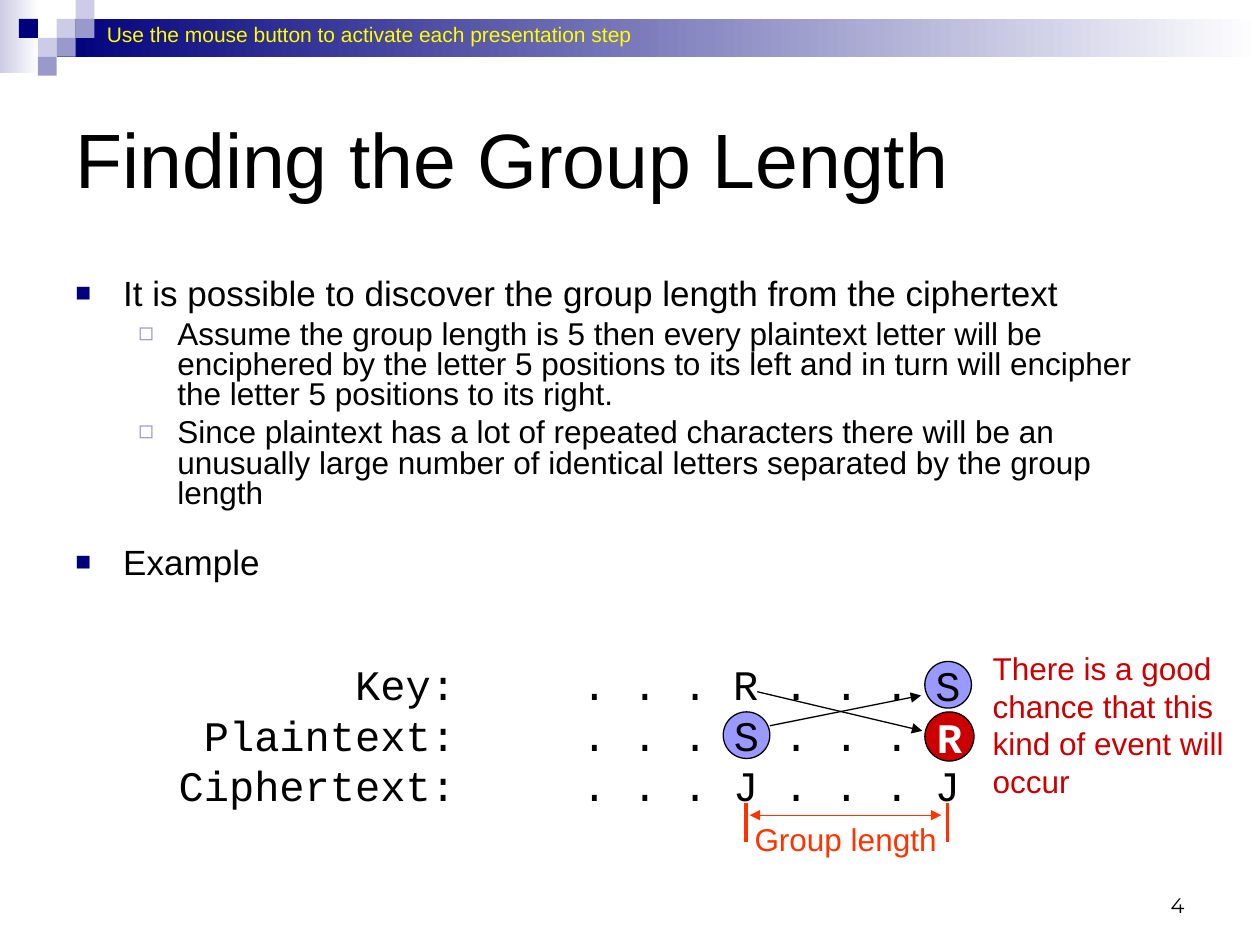
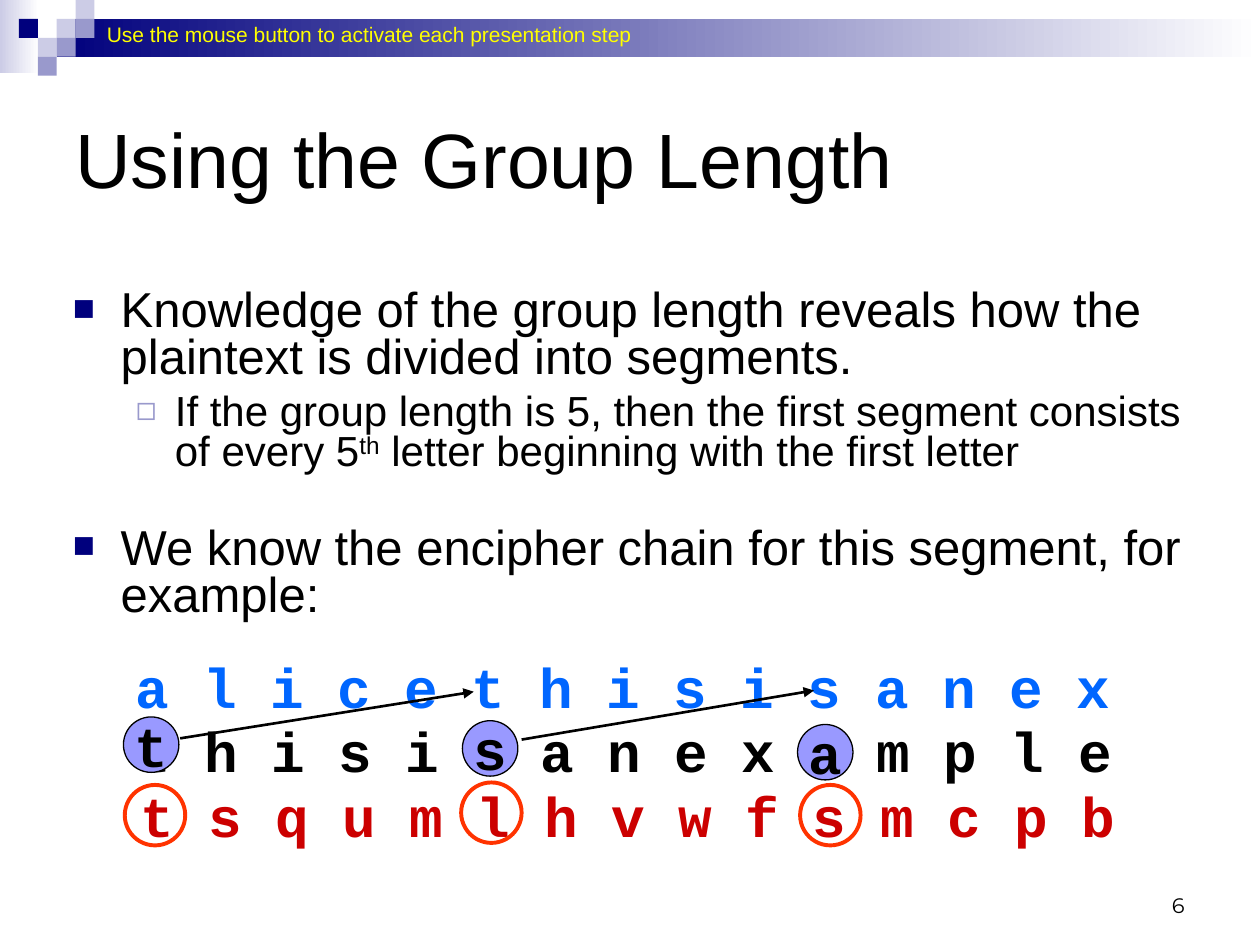
from dataclasses import dataclass

from lxml import etree
from pptx import Presentation
from pptx.dml.color import RGBColor
from pptx.enum import shapes, text
from pptx.oxml import ns
from pptx.util import Inches, Pt


@dataclass(frozen=True)
class Theme:
    sans: str = "Arial"
    mono: str = "Courier New"
    number_font: str = "Montserrat"
    black: str = "000000"
    white: str = "FFFFFF"
    navy: str = "00007D"
    violet: str = "9999CC"
    pale: str = "CCCCE6"
    hint: str = "FFFF00"
    circle: str = "9999FF"
    red: str = "CC0000"
    orange: str = "FF3300"
    blue: str = "0066FF"
    title_size: int = 44
    small_size: int = 12
    note_size: int = 18
    table_size: int = 24
    chain_size: int = 32


@dataclass(frozen=True)
class Bullet:
    char: str
    color: str
    percent: int
    margin: float
    hang: float


THEME = Theme()
BULLETS = (
    Bullet("■", THEME.navy, 75, 0.38, 0.38),
    Bullet("◻", THEME.violet, 80, 0.81, 0.31),
)
SQUARE = 0.15
# Column and row of each square in the corner mosaic
MOSAIC = (
    (3, 1, THEME.pale), (4, 0, THEME.pale), (4, 1, THEME.violet),
    (2, 2, THEME.pale), (1, 1, THEME.navy), (3, 2, THEME.violet),
    (2, 3, THEME.violet),
)


def rgb(color):
    return RGBColor.from_string(color)


def add_xml(parent, tag, **attributes):
    return etree.SubElement(parent, ns.qn(tag), attributes)


def style(paragraph, size, color=THEME.black, font=THEME.sans, bold=False):
    paragraph.font.size = Pt(size)
    paragraph.font.name = font
    paragraph.font.bold = bold
    paragraph.font.color.rgb = rgb(color)


def add_text(slide, box, lines, size, color=THEME.black, font=THEME.sans,
             bold=False, wrap=False, anchor=text.MSO_ANCHOR.TOP,
             align=text.PP_ALIGN.LEFT, tabs=()):
    """Add one paragraph a line; tabs are (inches, alignment) pairs."""
    frame = slide.shapes.add_textbox(*map(Inches, box)).text_frame
    frame.word_wrap = wrap
    frame.vertical_anchor = anchor
    if not wrap:
        frame.auto_size = text.MSO_AUTO_SIZE.SHAPE_TO_FIT_TEXT
    for i, line in enumerate(lines):
        paragraph = frame.paragraphs[0] if i == 0 else frame.add_paragraph()
        paragraph.add_run().text = line
        paragraph.alignment = align
        if tabs:
            stops = add_xml(paragraph._p.get_or_add_pPr(), "a:tabLst")
            for position, side in tabs:
                add_xml(stops, "a:tab", pos=str(Inches(position)), algn=side)
        style(paragraph, size, color, font, bold)


def add_bullets(slide, box, items):
    """Add items of (level, size, space before, runs); odd runs are raised."""
    frame = slide.shapes.add_textbox(*map(Inches, box)).text_frame
    frame.word_wrap = True
    for i, (level, size, space, runs) in enumerate(items):
        paragraph = frame.paragraphs[0] if i == 0 else frame.add_paragraph()
        bullet = BULLETS[level]
        paragraph.level = level
        paragraph.line_spacing = 0.8
        paragraph.space_before = Pt(space)
        properties = paragraph._p.get_or_add_pPr()
        properties.set("marL", str(Inches(bullet.margin)))
        properties.set("indent", str(-Inches(bullet.hang)))
        add_xml(add_xml(properties, "a:buClr"), "a:srgbClr", val=bullet.color)
        add_xml(properties, "a:buSzPct", val=str(bullet.percent * 1000))
        add_xml(properties, "a:buFont", typeface=THEME.sans)
        add_xml(properties, "a:buChar", char=bullet.char)
        style(paragraph, size)
        for j, words in enumerate(runs):
            run = paragraph.add_run()
            run.text = words
            if j % 2:
                run.font._element.set("baseline", "30000")


def add_rect(slide, box, color, fade=False):
    rect = slide.shapes.add_shape(shapes.MSO_SHAPE.RECTANGLE, *map(Inches, box))
    rect.shadow.inherit = False
    rect.line.fill.background()
    if fade:
        rect.fill.gradient()
        rect.fill.gradient_angle = 180
        for stop, shade in zip(rect.fill.gradient_stops, (THEME.white, color)):
            stop.color.rgb = rgb(shade)
    else:
        rect.fill.solid()
        rect.fill.fore_color.rgb = rgb(color)


def add_circle(slide, left, top, size, fill=None, line=THEME.black, width=0.75):
    circle = slide.shapes.add_shape(
        shapes.MSO_SHAPE.OVAL, *map(Inches, (left, top, size, size)))
    circle.shadow.inherit = False
    circle.line.color.rgb = rgb(line)
    circle.line.width = Pt(width)
    if fill:
        circle.fill.solid()
        circle.fill.fore_color.rgb = rgb(fill)
    else:
        circle.fill.background()
    return circle


def add_letter(slide, letter, left, top, size, type_size, bold=False,
               fill=THEME.circle, color=THEME.black):
    """Add a filled circle with one letter in it."""
    frame = add_circle(slide, left, top, size, fill).text_frame
    frame.word_wrap = False
    frame.vertical_anchor = text.MSO_ANCHOR.MIDDLE
    paragraph = frame.paragraphs[0]
    paragraph.add_run().text = letter
    paragraph.alignment = text.PP_ALIGN.CENTER
    style(paragraph, type_size, color, THEME.mono, bold)


def add_line(slide, start, end, color=THEME.black, width=0.75, arrows=()):
    """Add a line; arrows names the ends with a head: headEnd, tailEnd."""
    line = slide.shapes.add_connector(
        shapes.MSO_CONNECTOR.STRAIGHT, *map(Inches, start + end))
    line.line.color.rgb = rgb(color)
    line.line.width = Pt(width)
    for arrow in arrows:
        add_xml(line.line._get_or_add_ln(), f"a:{arrow}", type="triangle")
    add_xml(line._element.spPr, "a:effectLst")


def add_base(deck, title, number):
    """Start a slide with the band, mosaic, hint, title and slide number."""
    slide = deck.slides.add_slide(deck.slide_layouts[6])
    add_rect(slide, (0, 0, 0.31, 0.58), THEME.pale, fade=True)
    add_rect(slide, (0.45, 0.15, 9.55, 0.3), THEME.navy, fade=True)
    for column, row, color in MOSAIC:
        add_rect(slide, (column * SQUARE, row * SQUARE, SQUARE, SQUARE), color)
    add_text(slide, (0.75, 0.12, 4.4, 0.3),
             ["Use the mouse button to activate each presentation step"],
             THEME.small_size, THEME.hint)
    add_text(slide, (0.5, 0.5, 9, 1.5), [title], THEME.title_size,
             wrap=True, anchor=text.MSO_ANCHOR.MIDDLE)
    add_text(slide, (7.17, 6.83, 2.33, 0.5), [str(number)], THEME.small_size,
             font=THEME.number_font, wrap=True,
             anchor=text.MSO_ANCHOR.BOTTOM, align=text.PP_ALIGN.RIGHT)
    return slide


def build_finding(deck):
    slide = add_base(deck, "Finding the Group Length", 4)
    add_bullets(slide, (0.5, 2.17, 8.77, 2.93), [
        (0, 20, 0, ["It is possible to discover the group length from the "
                    "ciphertext"]),
        (1, 18, 4.5, ["Assume the group length is 5 then every plaintext "
                      "letter will be enciphered by the letter 5 positions to "
                      "its left and in turn will encipher the letter 5 "
                      "positions to its right."]),
        (1, 18, 4.5, ["Since plaintext has a lot of repeated characters there "
                      "will be an unusually large number of identical letters "
                      "separated by the group length"]),
        (0, 20, 22, ["Example"]),
    ])
    add_text(slide, (0.92, 5.18, 6.8, 1.3),
             ["\tKey:\t. . . R . . . S",
              "\tPlaintext:\t. . . S . . . R",
              "\tCiphertext:\t. . . J . . . J"],
             THEME.table_size, font=THEME.mono, tabs=((2.6, "r"), (3.6, "l")))
    add_letter(slide, "S", 5.74, 5.65, 0.37, THEME.table_size)
    add_letter(slide, "S", 7.34, 5.25, 0.37, THEME.table_size)
    add_line(slide, (6.11, 5.76), (7.31, 5.52), arrows=["tailEnd"])
    add_letter(slide, "R", 7.34, 5.65, 0.39, THEME.table_size, bold=True,
               fill=THEME.red, color=THEME.white)
    add_line(slide, (6.01, 5.49), (7.32, 5.8), arrows=["tailEnd"])
    add_text(slide, (7.78, 5.1, 2.1, 1.3),
             ["There is a good", "chance that this", "kind of event will",
              "occur"], THEME.note_size, THEME.red)
    for x in (5.92, 7.52):
        add_line(slide, (x, 6.37), (x, 6.68), THEME.orange, 2.25)
    add_line(slide, (5.95, 6.47), (7.47, 6.47), THEME.orange,
             arrows=["headEnd", "tailEnd"])
    add_text(slide, (5.89, 6.46, 1.7, 0.4), ["Group length"],
             THEME.note_size, THEME.orange)


def build_using(deck):
    slide = add_base(deck, "Using the Group Length", 6)
    add_bullets(slide, (0.48, 2.25, 9.02, 2.92), [
        (0, 28, 0, ["Knowledge of the group length reveals how the plaintext "
                    "is divided into segments."]),
        (1, 24, 6, ["If the group length is 5, then the first segment "
                    "consists of every 5", "th",
                    " letter beginning with the first letter"]),
        (0, 28, 30, ["We know the encipher chain for this segment, for "
                     "example:"]),
    ])
    for left, top, letters, color in (
            (0.99, 5.64, "thisisanexample", THEME.black),
            (0.98, 5.13, "alicethisisanex", THEME.blue),
            (1.02, 6.15, "tsqumlhvwfsmcpb", THEME.red)):
        add_text(slide, (left, top, 8, 0.64), [" ".join(letters)],
                 THEME.chain_size, color, THEME.mono, bold=True)
    for letter, left, top in (("t", 0.98, 5.69), ("a", 6.33, 5.75),
                              ("s", 3.67, 5.72)):
        add_letter(slide, letter, left, top, 0.44, THEME.chain_size, bold=True)
    for start, end in (((1.43, 5.86), (3.76, 5.49)),
                       ((4.14, 5.87), (6.46, 5.48))):
        add_line(slide, start, end, width=1.5, arrows=["tailEnd"])
    for left, top in ((0.99, 6.23), (3.66, 6.21), (6.35, 6.23)):
        add_circle(slide, left, top, 0.48, line=THEME.orange, width=2.25)


def main():
    deck = Presentation()
    deck.slide_width, deck.slide_height = Inches(10), Inches(7.5)
    build_finding(deck)
    build_using(deck)
    deck.save("out.pptx")


if __name__ == "__main__":
    main()
